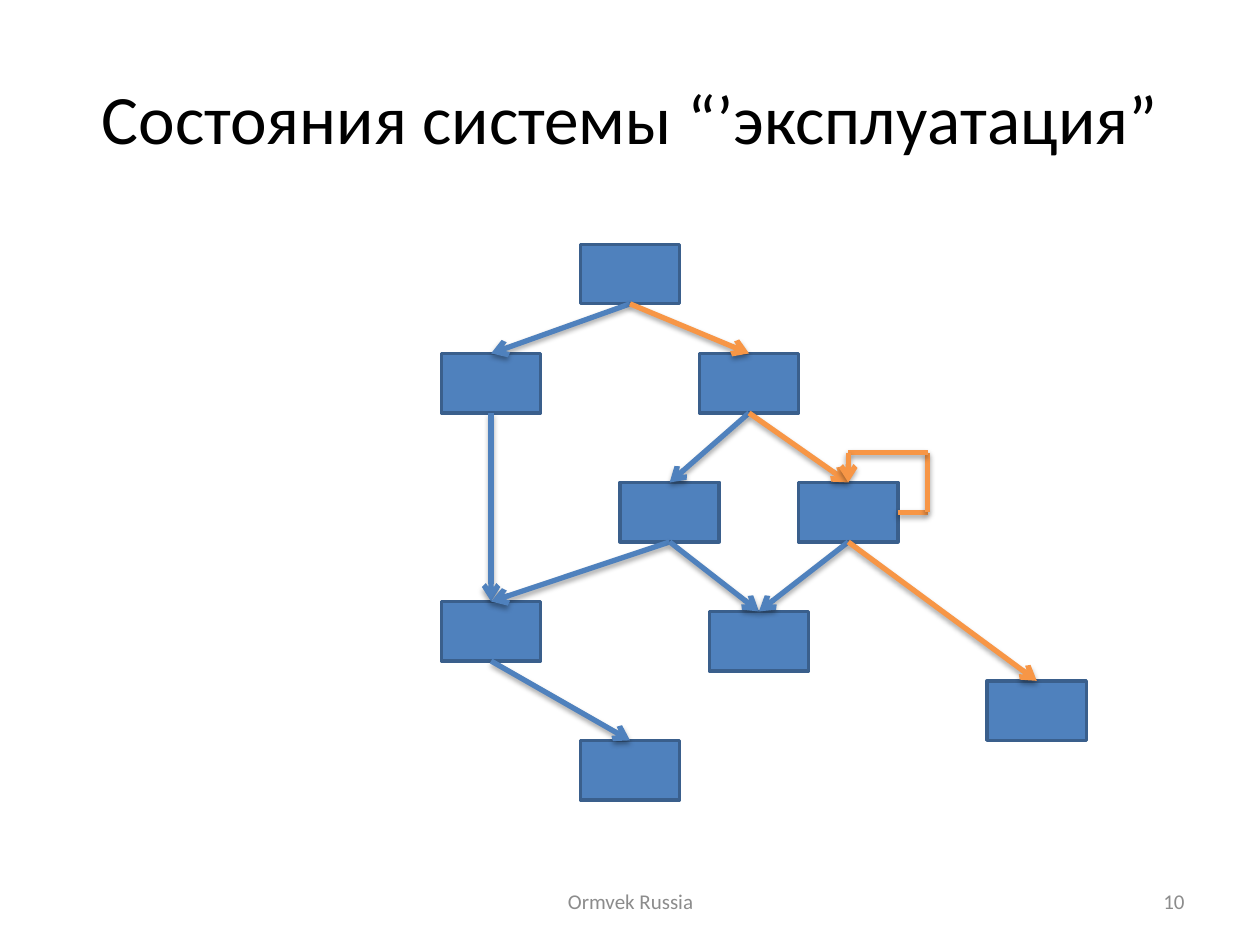
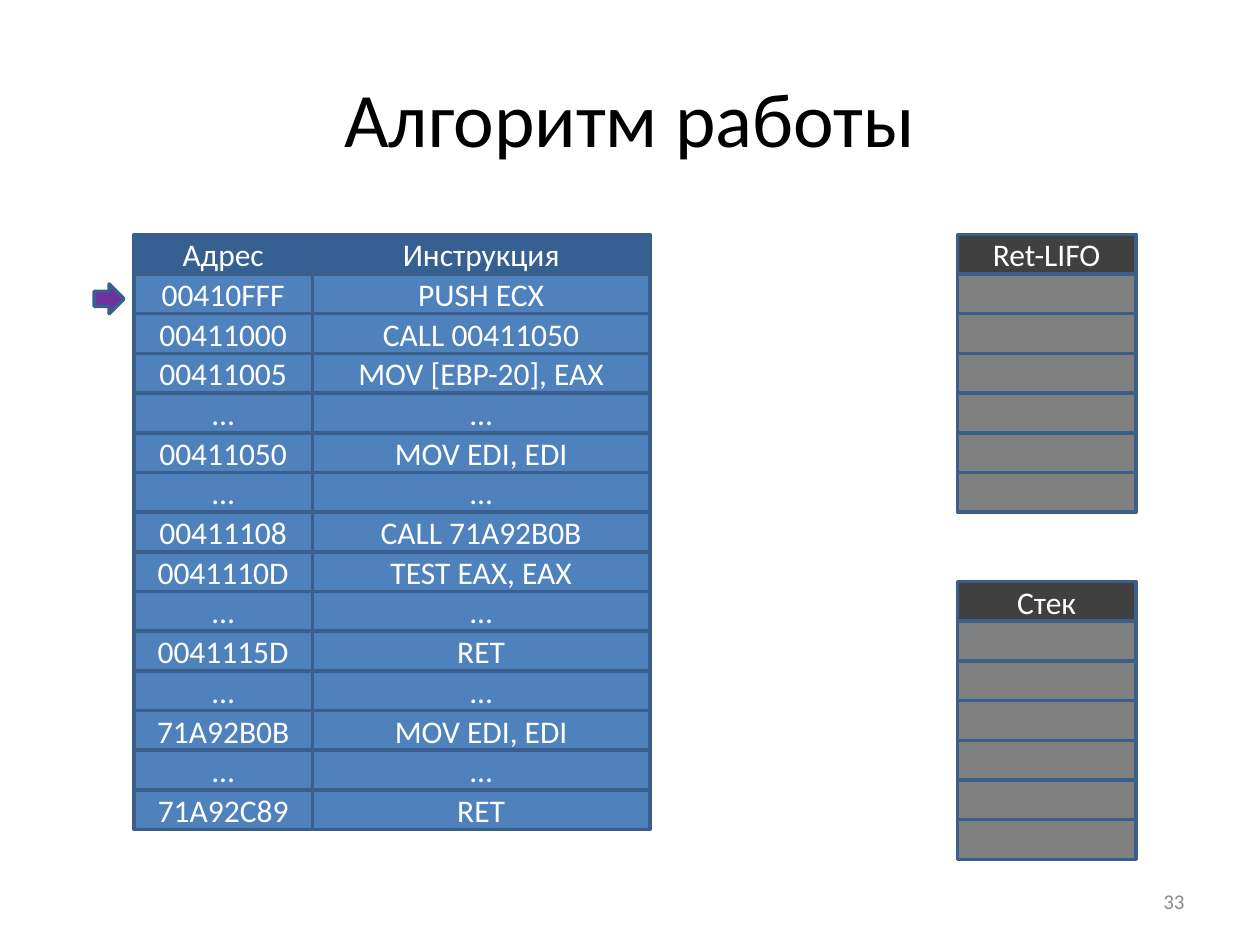
from lxml.etree import SubElement
from pptx import Presentation
from pptx.dml.color import RGBColor
from pptx.enum.shapes import MSO_CONNECTOR, MSO_SHAPE
from pptx.enum.text import MSO_ANCHOR, PP_ALIGN
from pptx.oxml import parse_xml
from pptx.oxml.ns import nsdecls, qn
from pptx.util import Inches, Mm, Pt

SLIDE_WIDTH, SLIDE_HEIGHT = Inches(10), Inches(7.5)
FONT = "Calibri"
BLACK, WHITE, FOOTER_GRAY = "000000", "FFFFFF", "8C8C8C"
BLUE, DARK_BLUE, OUTLINE = "4F81BD", "376092", "3A5F8C"
ORANGE, PURPLE = "F79646", "7030A0"
SLOT_GRAY, HEADER_GRAY = "808080", "404040"

# Diagrams sit on a 2 mm grid that starts a little inside the slide corner.
GRID_STEP, GRID_LEFT, GRID_TOP = 2, 1, 1.25
STATE_WIDTH, STATE_HEIGHT = 10, 6
ROW_HEIGHT = 4
TABLE_TOP = 23

STATES = {
    "start": (58, 24),
    "left": (44, 35),
    "right": (70, 35),
    "inner": (62, 48),
    "loop": (80, 48),
    "merge": (44, 60),
    "join": (71, 61),
    "end": (58, 74),
    "exploit": (99, 68),
}
TRANSITIONS = [
    ("start", "left", BLUE),
    ("start", "right", ORANGE),
    ("left", "merge", BLUE),
    ("inner", "merge", BLUE),
    ("right", "inner", BLUE),
    ("right", "loop", ORANGE),
    ("inner", "join", BLUE),
    ("loop", "join", BLUE),
    ("merge", "end", BLUE),
    ("loop", "exploit", ORANGE),
]
LISTING = [
    ("Адрес", "Инструкция"),
    ("00410FFF", "PUSH ECX"),
    ("00411000", "CALL 00411050"),
    ("00411005", "MOV [EBP-20], EAX"),
    ("…", "…"),
    ("00411050", "MOV EDI, EDI"),
    ("…", "…"),
    ("00411108", "CALL 71A92B0B"),
    ("0041110D", "TEST EAX, EAX"),
    ("…", "…"),
    ("0041115D", "RET"),
    ("…", "…"),
    ("71A92B0B", "MOV EDI, EDI"),
    ("…", "…"),
    ("71A92C89", "RET"),
]


def color(hex_text):
    return RGBColor.from_string(hex_text)


def grid_point(column, row):
    return Mm(GRID_LEFT + column * GRID_STEP), Mm(GRID_TOP + row * GRID_STEP)


def write_text(shape, text, size, font_color, align=PP_ALIGN.CENTER):
    frame = shape.text_frame
    frame.word_wrap = True
    frame.vertical_anchor = MSO_ANCHOR.MIDDLE
    para = frame.paragraphs[0]
    para.alignment = align
    span = para.add_run()
    span.text = text
    for name, value in {"name": FONT, "size": Pt(size)}.items():
        setattr(span.font, name, value)
    span.font.color.rgb = color(font_color)


def add_label(page, area, text, size, font_color, align=PP_ALIGN.CENTER):
    """Add a text box; area is left, top, width, height as shares of the slide."""
    left, top, width, height = area
    box = page.shapes.add_textbox(
        int(SLIDE_WIDTH * left), int(SLIDE_HEIGHT * top),
        int(SLIDE_WIDTH * width), int(SLIDE_HEIGHT * height))
    write_text(box, text, size, font_color, align)


def add_page(deck, title, title_size, number, footer=None):
    page = deck.slides.add_slide(deck.slide_layouts[6])
    add_label(page, (0.05, 0.04, 0.9, 0.167), title, title_size, BLACK)
    if footer:
        add_label(page, (0.342, 0.927, 0.317, 0.053), footer, 12, FOOTER_GRAY)
    add_label(page, (0.717, 0.927, 0.233, 0.053), number, 12, FOOTER_GRAY,
              PP_ALIGN.RIGHT)
    return page


def add_block(page, column, row, columns, rows, fill, text=None,
              kind=MSO_SHAPE.RECTANGLE):
    block = page.shapes.add_shape(
        kind, *grid_point(column, row), Mm(columns * GRID_STEP), Mm(rows * GRID_STEP))
    block.shadow.inherit = False
    block.fill.solid()
    block.fill.fore_color.rgb = color(fill)
    block.line.color.rgb = color(OUTLINE)
    block.line.width = Pt(2)
    if text:
        write_text(block, text, 18, WHITE)


def add_link(page, start, end, line_color, arrow=True):
    link = page.shapes.add_connector(
        MSO_CONNECTOR.STRAIGHT, *grid_point(*start), *grid_point(*end))
    link.line.color.rgb = color(line_color)
    link.line.width = Pt(3)
    if arrow:
        SubElement(link.line._get_or_add_ln(), qn("a:tailEnd"), type="arrow")
    link._element.spPr.append(parse_xml(
        f'<a:effectLst {nsdecls("a")}>'
        f'<a:outerShdw blurRad="{Pt(3.1)}" dist="{Pt(1.8)}" dir="5400000" rotWithShape="0">'
        '<a:srgbClr val="000000"><a:alpha val="35000"/></a:srgbClr>'
        '</a:outerShdw></a:effectLst>'))


def top_center(state):
    column, row = STATES[state]
    return column + STATE_WIDTH / 2, row


def bottom_center(state):
    column, row = top_center(state)
    return column, row + STATE_HEIGHT


def add_self_loop(page, state):
    """Lead from the right side of a state around to its top."""
    column, row = STATES[state]
    right, middle = column + STATE_WIDTH, row + STATE_HEIGHT / 2
    outside, above = right + 3, row - 3
    target = top_center(state)
    route = [(right, middle), (outside, middle), (outside, above),
             (target[0], above), target]
    for start, end in zip(route, route[1:]):
        add_link(page, start, end, ORANGE, arrow=end == target)


def add_cells(page, column, row, columns, texts, header_fill, body_fill):
    """Stack cells downwards, the first one being the header."""
    for index, text in enumerate(texts):
        fill = body_fill if index else header_fill
        add_block(page, column, row + index * ROW_HEIGHT, columns, ROW_HEIGHT,
                  fill, text)


def build_states(deck):
    page = add_page(deck, "Состояния системы “’эксплуатация”", 39.6, "10",
                    "Ormvek Russia")
    for column, row in STATES.values():
        add_block(page, column, row, STATE_WIDTH, STATE_HEIGHT, BLUE)
    for source, target, line_color in TRANSITIONS:
        add_link(page, bottom_center(source), top_center(target), line_color)
    add_self_loop(page, "loop")


def build_algorithm(deck):
    page = add_page(deck, "Алгоритм работы", 44, "33")
    addresses, instructions = zip(*LISTING)
    add_cells(page, 13, TABLE_TOP, 18, addresses, DARK_BLUE, BLUE)
    add_cells(page, 31, TABLE_TOP, 34, instructions, DARK_BLUE, BLUE)
    empty_slots = [None] * 6
    for header, row in (("Ret-LIFO", TABLE_TOP), ("Стек", 58)):
        add_cells(page, 96, row, 18, [header, *empty_slots], HEADER_GRAY, SLOT_GRAY)
    add_block(page, 9, TABLE_TOP + ROW_HEIGHT + 1, 3, 3, PURPLE,
              kind=MSO_SHAPE.RIGHT_ARROW)


def main():
    deck = Presentation()
    deck.slide_width, deck.slide_height = SLIDE_WIDTH, SLIDE_HEIGHT
    build_states(deck)
    build_algorithm(deck)
    deck.save("out.pptx")


if __name__ == "__main__":
    main()
